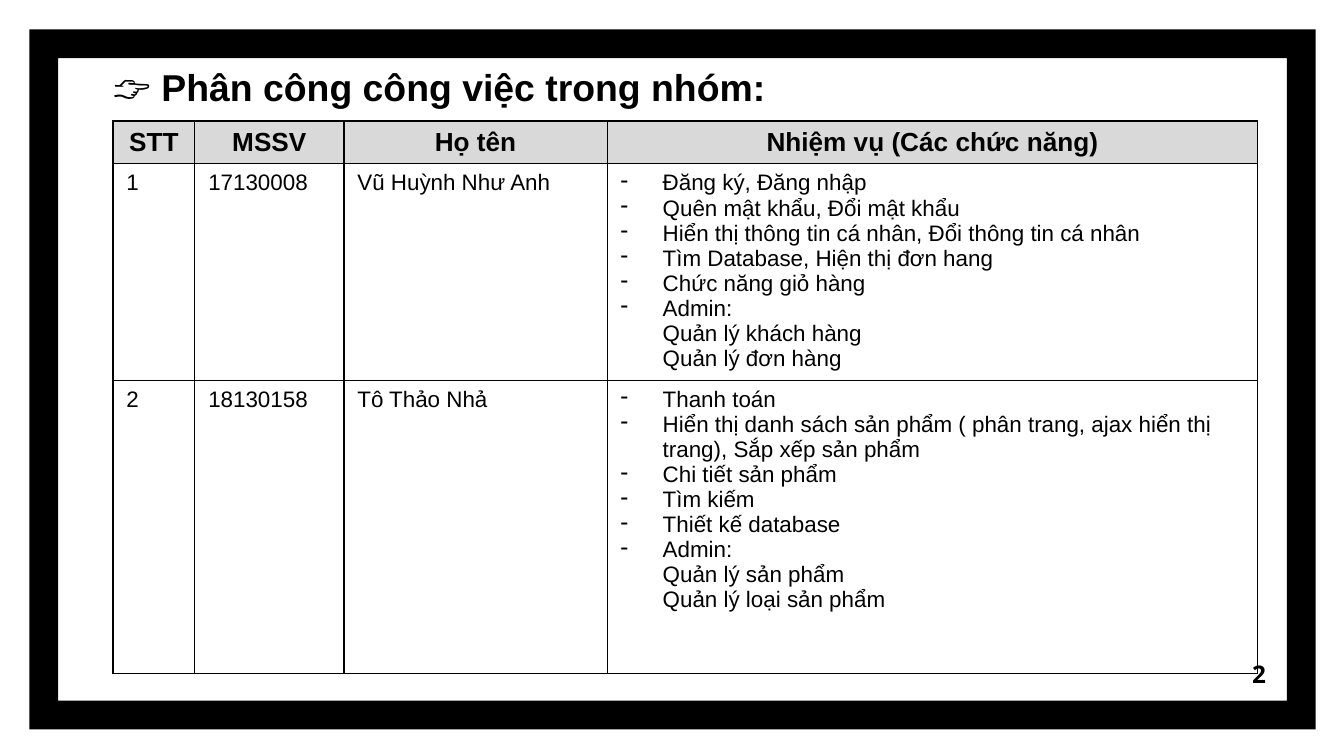
from dataclasses import dataclass

from lxml.etree import SubElement
from pptx import Presentation
from pptx.dml.color import RGBColor
from pptx.enum.shapes import MSO_SHAPE
from pptx.enum.text import MSO_ANCHOR, MSO_AUTO_SIZE, PP_ALIGN
from pptx.oxml.ns import qn
from pptx.util import Pt

COLORS = {"ink": "000000", "header": "D9D9D9"}
TEXT_FONT = "Arial"
SYMBOL_FONT = "Noto Sans"
HEADERS = ("STT", "MSSV", "Họ tên", "Nhiệm vụ (Các chức năng)")
COLUMN_WIDTHS = (43.9, 79.9, 141.1, 348.5)
ROW_HEIGHTS = (23, 115.9, 157)
BORDER_WIDTH = 0.75
BULLET_INDENT = 22.5


@dataclass
class Member:
    number: str
    student_id: str
    name: str
    tasks: tuple[str, ...]


MEMBERS = (
    Member("1", "17130008", "Vũ Huỳnh Như Anh", (
        "Đăng ký, Đăng nhập",
        "Quên mật khẩu, Đổi mật khẩu",
        "Hiển thị thông tin cá nhân, Đổi thông tin cá nhân",
        "Tìm Database, Hiện thị đơn hang",
        "Chức năng giỏ hàng",
        "Admin:\nQuản lý khách hàng\nQuản lý đơn hàng",
    )),
    Member("2", "18130158", "Tô Thảo Nhả", (
        "Thanh toán",
        "Hiển thị danh sách sản phẩm ( phân trang, ajax hiển thị trang), Sắp xếp sản phẩm",
        "Chi tiết sản phẩm",
        "Tìm kiếm",
        "Thiết kế database",
        "Admin:\nQuản lý sản phẩm\nQuản lý loại sản phẩm",
    )),
)


def color(name: str) -> RGBColor:
    return RGBColor.from_string(COLORS[name])


def format_span(span, size: float, bold: bool, font: str = TEXT_FONT) -> None:
    span.font.name = font
    span.font.size = Pt(size)
    span.font.bold = bold
    span.font.color.rgb = color("ink")


def format_frame(frame, anchor: MSO_ANCHOR) -> None:
    frame.word_wrap = True
    frame.auto_size = MSO_AUTO_SIZE.NONE
    frame.vertical_anchor = anchor
    frame.margin_left = frame.margin_right = Pt(7.2)
    frame.margin_top = frame.margin_bottom = Pt(7.2)


def add_dash(para) -> None:
    properties = para._p.get_or_add_pPr()
    properties.set("marL", str(Pt(BULLET_INDENT)))
    properties.set("indent", str(-Pt(BULLET_INDENT)))
    bullet_color = SubElement(properties, qn("a:buClr"))
    SubElement(bullet_color, qn("a:srgbClr"), val=COLORS["ink"])
    SubElement(properties, qn("a:buChar"), char="-")


def add_borders(cell) -> None:
    properties = cell._tc.get_or_add_tcPr()
    for position, side in enumerate(("a:lnL", "a:lnR", "a:lnT", "a:lnB")):
        line = properties.makeelement(qn(side), {"w": str(Pt(BORDER_WIDTH))})
        fill = SubElement(line, qn("a:solidFill"))
        SubElement(fill, qn("a:srgbClr"), val=COLORS["ink"])
        properties.insert(position, line)


def fill_cell(cell, lines: tuple[str, ...], header: bool = False, dashed: bool = False) -> None:
    size = 14 if header else 12
    if header:
        cell.fill.solid()
        cell.fill.fore_color.rgb = color("header")
    else:
        cell.fill.background()
    add_borders(cell)
    frame = cell.text_frame
    for index, line in enumerate(lines):
        para = frame.add_paragraph() if index else frame.paragraphs[0]
        para.text = line
        para.alignment = PP_ALIGN.CENTER if header else PP_ALIGN.LEFT
        if dashed:
            add_dash(para)
        for span in para.runs:
            format_span(span, size, header)
        for line_break in para._p.findall(qn("a:br")):
            SubElement(line_break, qn("a:rPr"), sz=str(size * 100))


def add_frame(page) -> None:
    border = page.shapes.add_shape(MSO_SHAPE.FRAME, Pt(15.8), Pt(15.8), Pt(689), Pt(375))
    border.adjustments[0] = 0.041
    border.shadow.inherit = False
    border.fill.solid()
    border.fill.fore_color.rgb = color("ink")
    border.line.fill.background()
    page.shapes._spTree.insert(2, border._element)


def add_title(page) -> None:
    title = page.shapes.title
    title.left, title.top, title.width, title.height = Pt(53.3), Pt(38.2), Pt(407.5), Pt(27.4)
    format_frame(title.text_frame, MSO_ANCHOR.BOTTOM)
    para = title.text_frame.paragraphs[0]
    para.alignment = PP_ALIGN.LEFT
    for text, font in (("👉", SYMBOL_FONT), (" Phân công công việc trong nhóm:", TEXT_FONT)):
        span = para.add_run()
        span.text = text
        format_span(span, 20, True, font)


def add_page_number(page) -> None:
    box = page.shapes.add_textbox(Pt(642.2), Pt(345.6), Pt(43.2), Pt(31))
    format_frame(box.text_frame, MSO_ANCHOR.MIDDLE)
    box.text_frame.text = "2"
    para = box.text_frame.paragraphs[0]
    para.alignment = PP_ALIGN.RIGHT
    format_span(para.runs[0], 13, True, SYMBOL_FONT)


def add_assignments(page) -> None:
    table = page.shapes.add_table(
        len(MEMBERS) + 1, len(HEADERS), Pt(60.5), Pt(64.8),
        Pt(sum(COLUMN_WIDTHS)), Pt(sum(ROW_HEIGHTS)),
    ).table
    table.first_row = False
    table.horz_banding = False
    for column, width in zip(table.columns, COLUMN_WIDTHS):
        column.width = Pt(width)
    for row, height in zip(table.rows, ROW_HEIGHTS):
        row.height = Pt(height)
    for index, heading in enumerate(HEADERS):
        fill_cell(table.cell(0, index), (heading,), header=True)
    for row, member in enumerate(MEMBERS, start=1):
        for index, text in enumerate((member.number, member.student_id, member.name)):
            fill_cell(table.cell(row, index), (text,))
        fill_cell(table.cell(row, len(HEADERS) - 1), member.tasks, dashed=True)


def main() -> None:
    deck = Presentation()
    deck.slide_width, deck.slide_height = Pt(720), Pt(405)
    page = deck.slides.add_slide(deck.slide_layouts[5])
    add_frame(page)
    add_title(page)
    add_page_number(page)
    add_assignments(page)
    deck.save("out.pptx")


if __name__ == "__main__":
    main()
